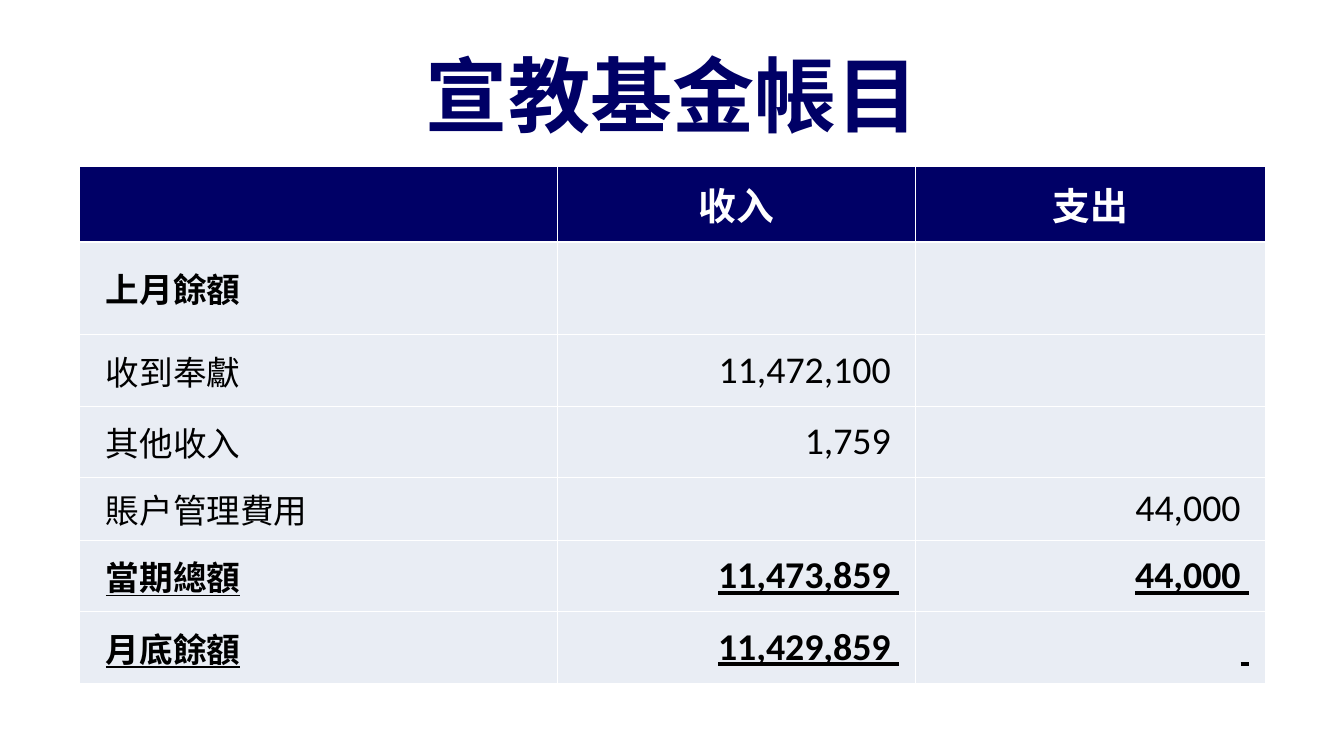
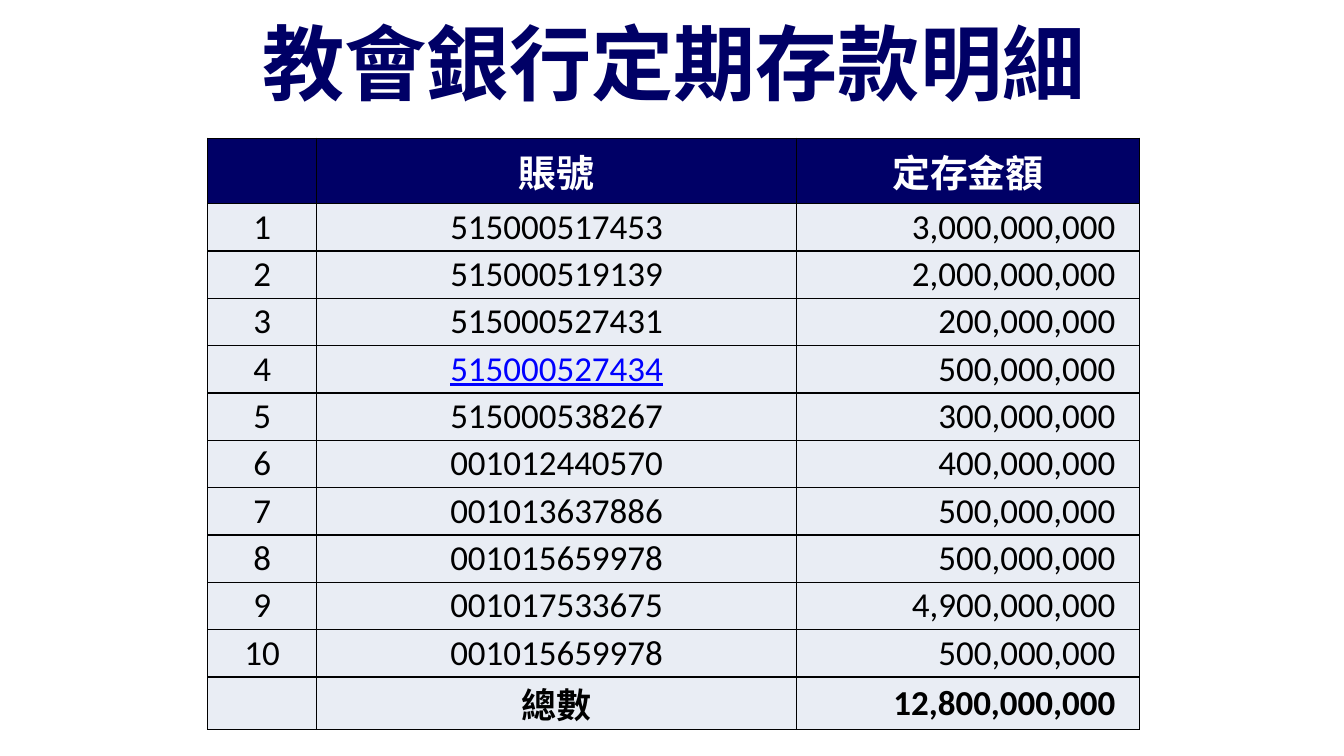
from lxml.etree import SubElement as Sub
from pptx import Presentation
from pptx.dml.color import RGBColor as RGB
from pptx.enum.text import MSO_ANCHOR as Anchor, MSO_AUTO_SIZE as Fit, PP_ALIGN as Align
from pptx.oxml.ns import qn
from pptx.util import Inches, Pt

COLORS = {"navy": "000066", "pale": "E9EDF4", "white": "FFFFFF",
          "black": "000000", "link": "0000FF"}
HAN, LATIN = "Noto Sans CJK TC", "Calibri"
WIDE, HIGH = 13.33, 7.5
ALIGN = {"l": Align.LEFT, "c": Align.CENTER, "r": Align.RIGHT}
INSET = {"l": (0.26, 0.01), "c": (0.01, 0.01), "r": (0.01, 0.16)}


def add_run(para, text, size, color, bold=False, line=False):
    run = para.add_run()
    run.text = text
    font = run.font
    font.size, font.bold, font.underline = Pt(size), bold, line
    font.color.rgb = RGB.from_string(COLORS[color])
    font.name = LATIN if text.isascii() else HAN
    Sub(font._element, qn("a:ea"), typeface=HAN)


def add_title(slide, text, box):
    title = slide.shapes.title
    title.left, title.top, title.width, title.height = map(Inches, box)
    frame = title.text_frame
    frame.auto_size = Fit.NONE
    frame.vertical_anchor = Anchor.MIDDLE
    para = frame.paragraphs[0]
    para.alignment = Align.CENTER
    add_run(para, text, 58.7, "navy", bold=True)


def set_edges(cell, color):
    props = cell._tc.get_or_add_tcPr()
    for spot, side in enumerate(("lnL", "lnR", "lnT", "lnB")):
        edge = Sub(props, qn("a:" + side), w=str(Pt(1)))
        fill = Sub(edge, qn("a:solidFill"))
        Sub(fill, qn("a:srgbClr"), val=COLORS[color])
        props.insert(spot, edge)


def fill_cell(cell, text, side, fill, edge, pad=0.0, **style):
    cell.fill.solid()
    cell.fill.fore_color.rgb = RGB.from_string(COLORS[fill])
    set_edges(cell, edge)
    cell.vertical_anchor = Anchor.MIDDLE
    cell.margin_left, cell.margin_right = map(Inches, INSET[side])
    cell.margin_top = cell.margin_bottom = Inches(pad)
    if text:
        para = cell.text_frame.paragraphs[0]
        para.alignment = ALIGN[side]
        add_run(para, text, **style)


def add_grid(slide, spot, cols, rows, head, body, sides, edge, pad, style):
    """Draw a header row over body rows; style(row, col, text) gives the run format."""
    box = (*spot, sum(cols), sum(rows))
    grid = slide.shapes.add_table(len(rows), len(cols), *map(Inches, box)).table
    grid.horz_banding = False
    for col, width in zip(grid.columns, cols):
        col.width = Inches(width)
    for row, height in zip(grid.rows, rows):
        row.height = Inches(height)
    for c, text in enumerate(head):
        fill_cell(grid.cell(0, c), text, "c", "navy", edge, pad,
                  size=27, color="white", bold=True)
    for r, line in enumerate(body):
        for c, text in enumerate(line):
            fill_cell(grid.cell(r + 1, c), text, sides[c], "pale", edge,
                      **style(r, c, text))


def fund_slide(slide):
    add_title(slide, "宣教基金帳目", (0.67, 0.3, 0.9 * WIDE, HIGH / 6))
    body = [("上月餘額", "", ""),
            ("收到奉獻", "11,472,100 ", ""),
            ("其他收入", "1,759 ", ""),
            ("賬戶管理費用", "", "44,000 "),
            ("當期總額", "11,473,859 ", "44,000 "),
            ("月底餘額", "11,429,859 ", " ")]

    def style(row, col, text):
        total = row >= 4
        return dict(size=27 if col else 24, color="black",
                    bold=total or row == 0, line=total)

    rows = [0.75, 0.92, 0.71, 0.71, 0.62, 0.71, 0.71]
    add_grid(slide, (0.79, 1.65), [4.74, 3.55, 3.47], rows,
             ("", "收入", "支出"), body, "lrr", "white", 0.1, style)


def bank_slide(slide):
    add_title(slide, "教會銀行定期存款明細", (0.68, -0.01, 0.9 * WIDE, HIGH / 6))
    funds = [("515000517453", 3000), ("515000519139", 2000),
             ("515000527431", 200), ("515000527434", 500),
             ("515000538267", 300), ("001012440570", 400),
             ("001013637886", 500), ("001015659978", 500),
             ("001017533675", 4900), ("001015659978", 500)]
    body = [(str(n), code, f"{sum_m * 10**6:,} ")
            for n, (code, sum_m) in enumerate(funds, 1)]
    total = sum(sum_m for _, sum_m in funds) * 10**6
    body.append(("", "總數", f"{total:,} "))

    def style(row, col, text):
        link = text == "515000527434"
        return dict(size=25, color="link" if link else "black",
                    bold=row == len(funds), line=link)

    rows = [0.65] + [0.47] * len(funds) + [0.52]
    add_grid(slide, (2.06, 1.37), [1.08, 4.76, 3.4], rows,
             ("", "賬號", "定存金額"), body, "ccr", "black", 0.05, style)


def main():
    deck = Presentation()
    deck.slide_width, deck.slide_height = Inches(WIDE), Inches(HIGH)
    for build in (fund_slide, bank_slide):
        build(deck.slides.add_slide(deck.slide_layouts[5]))
    deck.save("out.pptx")


if __name__ == "__main__":
    main()
